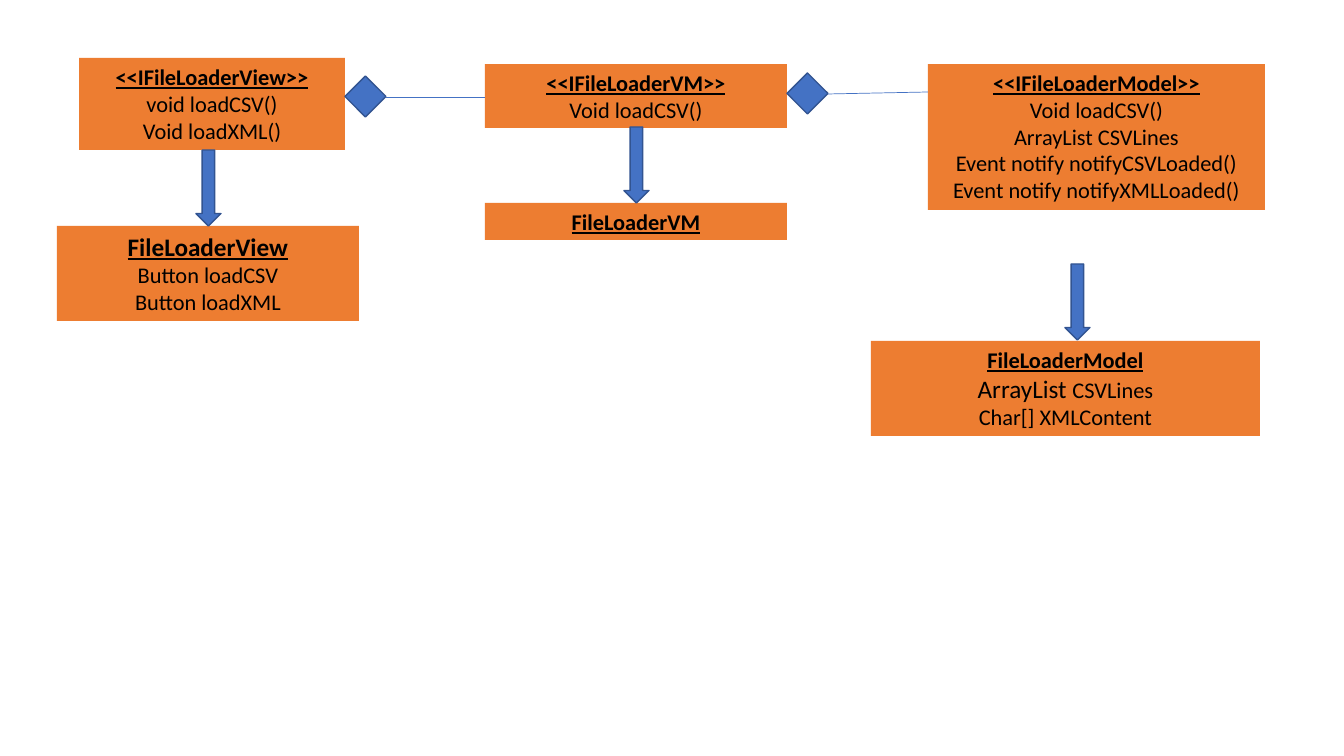
from pptx import Presentation
from pptx.dml.color import RGBColor
from pptx.enum.shapes import MSO_CONNECTOR, MSO_SHAPE
from pptx.enum.text import MSO_ANCHOR, MSO_AUTO_SIZE, PP_ALIGN
from pptx.oxml.ns import qn
from pptx.util import Pt
from lxml.etree import SubElement

ORANGE = RGBColor(0xED, 0x7D, 0x31)
BLUE = RGBColor(0x44, 0x72, 0xC4)
DARK_BLUE = RGBColor(0x32, 0x54, 0x91)
BLACK = RGBColor(0, 0, 0)

EMU_PER_PX = 914400 / 100.8


def px(n):
    return round(n * EMU_PER_PX)


def add_run(p, text, size=16, heading=False, font="Calibri", color=BLACK):
    r = p.add_run()
    r.text = text
    r.font.name = font
    r.font.size = Pt(size)
    r.font.bold = r.font.underline = heading
    r.font.color.rgb = color


class Diagram:
    """Holds the diagram style and the current slide."""
    diamond_size = 41
    arrow_width, arrow_height = 25, 76

    def __init__(self, s):
        self.s = s

    def class_box(self, x, y, w, h, title, *members, title_size=16):
        """A member is a string, or a list of (text, size) pairs."""
        sp = self.s.shapes.add_textbox(px(x), px(y), px(w), px(h))
        sp.fill.solid()
        sp.fill.fore_color.rgb = ORANGE
        tf = sp.text_frame
        tf.word_wrap = True
        tf.auto_size = MSO_AUTO_SIZE.SHAPE_TO_FIT_TEXT
        tf.vertical_anchor = MSO_ANCHOR.TOP
        p = tf.paragraphs[0]
        p.alignment = PP_ALIGN.CENTER
        add_run(p, title, size=title_size, heading=True)
        for member in members:
            p = tf.add_paragraph()
            p.alignment = PP_ALIGN.CENTER
            parts = [(member, 16)] if isinstance(member, str) else member
            for text, size in parts:
                add_run(p, text, size=size)

    def marker(self, kind, x, y, w, h):
        sp = self.s.shapes.add_shape(kind, px(x), px(y), px(w), px(h))
        sp.shadow.inherit = False
        sp.fill.solid()
        sp.fill.fore_color.rgb = BLUE
        sp.line.color.rgb = DARK_BLUE
        sp.line.width = Pt(1)

    def diamond(self, x, y):
        self.marker(MSO_SHAPE.DIAMOND, x, y, self.diamond_size, self.diamond_size)

    def down_arrow(self, x, y):
        self.marker(MSO_SHAPE.DOWN_ARROW, x, y, self.arrow_width, self.arrow_height)

    def link(self, x1, y1, x2, y2):
        c = self.s.shapes.add_connector(
            MSO_CONNECTOR.STRAIGHT, px(x1), px(y1), px(x2), px(y2))
        c.line.color.rgb = BLUE
        c.line.width = Pt(0.5)
        SubElement(c._element.spPr, qn("a:effectLst"))


prs = Presentation()
prs.slide_width, prs.slide_height = px(1344), px(756)
d = Diagram(prs.slides.add_slide(prs.slide_layouts[6]))

# Interfaces
d.class_box(79, 58, 266, 92, "<<IFileLoaderView>>",
            "void loadCSV()", "Void loadXML()")
d.class_box(485, 64, 302, 64, "<<IFileLoaderVM>>", "Void loadCSV()")
d.class_box(928, 64, 337, 146, "<<IFileLoaderModel>>",
            "Void loadCSV()", "ArrayList CSVLines",
            "Event notify notifyCSVLoaded()", "Event notify notifyXMLLoaded()")

# Implementing classes
d.class_box(871, 341, 389, 95, "FileLoaderModel",
            [("ArrayList ", 18), ("CSVLines", 16)], "Char[] XMLContent")
d.class_box(57, 226, 302, 95, "FileLoaderView",
            "Button loadCSV", "Button loadXML", title_size=18)
d.class_box(485, 203, 302, 37, "FileLoaderVM")

# Aggregations between the interfaces
d.diamond(345, 76)
d.diamond(787, 73)
d.link(386, 97, 485, 97)
d.link(828, 94, 928, 92)

# Arrows from interface to class
for x, y in ((1065, 264), (196, 150), (624, 127)):
    d.down_arrow(x, y)

prs.save("out.pptx")
